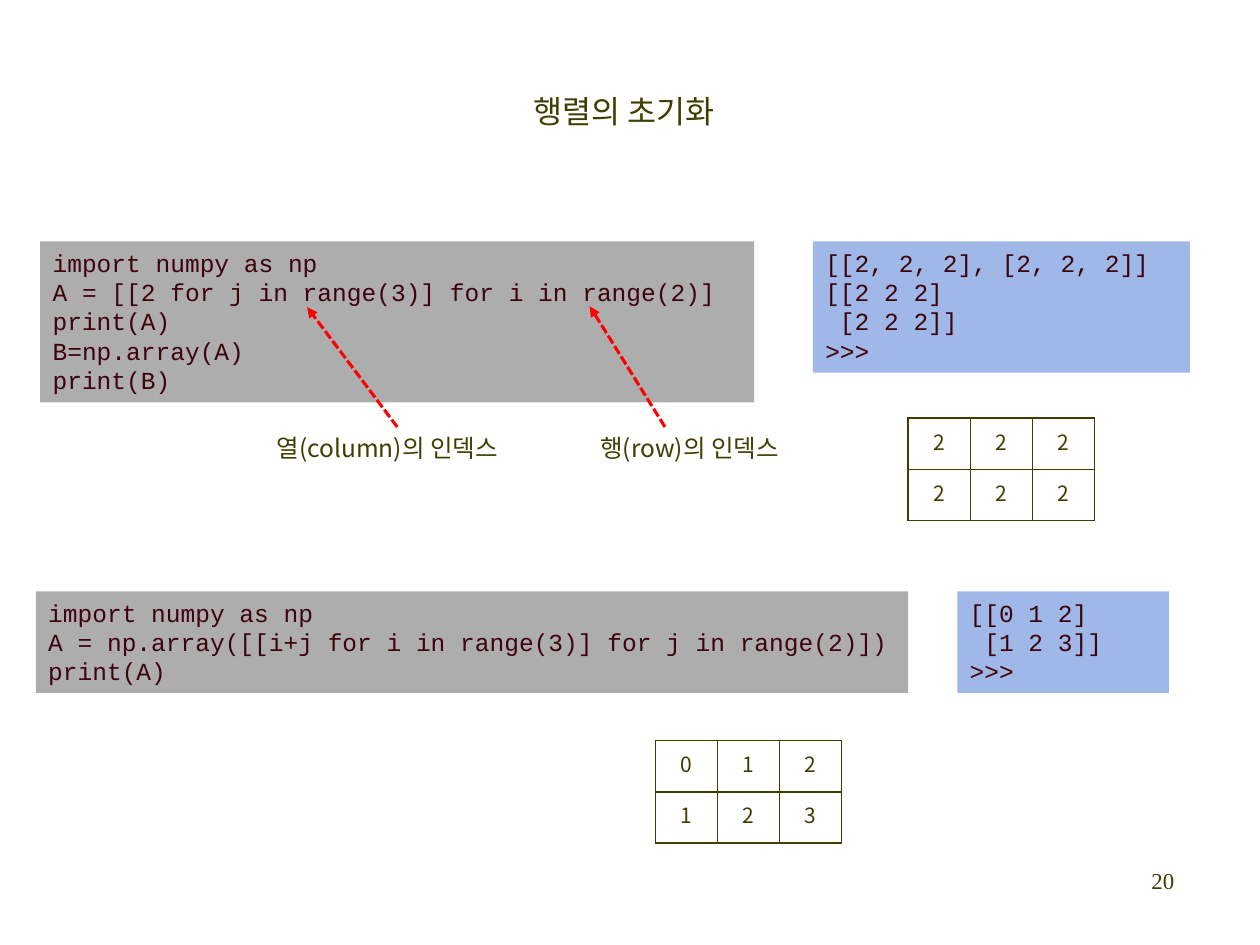
"""Build the slide on initialising matrices with list comprehensions."""
from lxml import etree
from pptx import Presentation
from pptx import util as u
from pptx.dml.color import RGBColor
from pptx.enum import dml, shapes, text
from pptx.oxml import ns

COLORS = {"ink": "3F3E00", "code": "3E020C", "gray": "ADADAD", "blue": "9FB8E7", "red": "FF0000"}
SANS, MONO, SERIF = "Noto Sans CJK KR", "Courier New", "Times New Roman"


def color(name):
    return RGBColor.from_string(COLORS[name])


def write(tf, lines, size, font, ink="ink", align=text.PP_ALIGN.LEFT):
    for i, line in enumerate(lines):
        p = tf.add_paragraph() if i else tf.paragraphs[0]
        p.alignment = align
        p.line_spacing = u.Pt(size * 1.2)
        r = p.add_run()
        r.text = line
        r.font.size = u.Pt(size)
        r.font.name = font
        r.font.color.rgb = color(ink)
        etree.SubElement(r.font._element, ns.qn("a:ea"), typeface=font)


prs = Presentation()
prs.slide_width, prs.slide_height = u.Pt(720), u.Pt(540)
s = prs.slides.add_slide(prs.slide_layouts[5])

title = s.shapes.title
title.left, title.top, title.width, title.height = u.Pt(297.5), u.Pt(49), u.Pt(130), u.Pt(29)
title.text_frame.word_wrap = False
title.text_frame.vertical_anchor = text.MSO_ANCHOR.TOP
write(title.text_frame, ["행렬의 초기화"], 18, SANS)

panels = [
    (23, 138, 408, 92, "gray", ["import numpy as np", "A = [[2 for j in range(3)] for i in range(2)]",
                                "print(A)", "B=np.array(A)", "print(B)"]),
    (464.5, 138, 215.5, 75, "blue", ["[[2, 2, 2], [2, 2, 2]]", "[[2 2 2]", " [2 2 2]]", ">>>"]),
    (20.5, 338, 498.5, 58, "gray", ["import numpy as np",
                                    "A = np.array([[i+j for i in range(3)] for j in range(2)])", "print(A)"]),
    (547, 338, 121, 58, "blue", ["[[0 1 2]", " [1 2 3]]", ">>>"]),
]
for x, y, w, h, fill, lines in panels:
    sp = s.shapes.add_shape(shapes.MSO_SHAPE.RECTANGLE, u.Pt(x), u.Pt(y), u.Pt(w), u.Pt(h))
    sp.shadow.inherit = False
    sp.fill.solid()
    sp.fill.fore_color.rgb = color(fill)
    sp.line.fill.background()
    sp.text_frame.word_wrap = True
    sp.text_frame.vertical_anchor = text.MSO_ANCHOR.TOP
    write(sp.text_frame, lines, 14, MONO, "code")

for x1, y1, x2, y2 in [(227, 244, 175.5, 175.5), (380, 244, 337, 175)]:
    arrow = s.shapes.add_connector(shapes.MSO_CONNECTOR.STRAIGHT, u.Pt(x1), u.Pt(y1), u.Pt(x2), u.Pt(y2))
    arrow.line.color.rgb = color("red")
    arrow.line.width = u.Pt(1.75)
    arrow.line.dash_style = dml.MSO_LINE.SQUARE_DOT
    etree.SubElement(arrow.line._get_or_add_ln(), ns.qn("a:tailEnd"), type="triangle")
    etree.SubElement(arrow._element.spPr, ns.qn("a:effectLst"))

labels = [
    (336, 244, 122.5, 24.5, "행(row)의 인덱스", 14, SANS, text.PP_ALIGN.LEFT),
    (151, 244, 146, 24.5, "열(column)의 인덱스", 14, SANS, text.PP_ALIGN.LEFT),
    (638, 492, 40, 36, "20", 13, SERIF, text.PP_ALIGN.RIGHT),
]
for x, y, w, h, line, size, font, align in labels:
    box = s.shapes.add_textbox(u.Pt(x), u.Pt(y), u.Pt(w), u.Pt(h))
    box.text_frame.word_wrap = True
    write(box.text_frame, [line], size, font, align=align)

col_w, row_h = 35.5, 29.25
matrices = [(519, 239, [[2, 2, 2], [2, 2, 2]]), (374.5, 423.25, [[0, 1, 2], [1, 2, 3]])]
for x, y, rows in matrices:
    frame = s.shapes.add_table(2, 3, u.Pt(x), u.Pt(y), u.Pt(3 * col_w), u.Pt(2 * row_h))
    table = frame.table
    table.first_row = table.horz_banding = False
    for i, row in enumerate(rows):
        for j, value in enumerate(row):
            cell = table.cell(i, j)
            cell.vertical_anchor = text.MSO_ANCHOR.MIDDLE
            write(cell.text_frame, [str(value)], 12, SANS, align=text.PP_ALIGN.CENTER)
            tc_pr = cell._tc.get_or_add_tcPr()
            for side in "LRTB":
                ln = etree.SubElement(tc_pr, ns.qn(f"a:ln{side}"), w=str(u.Pt(1)))
                solid = etree.SubElement(ln, ns.qn("a:solidFill"))
                etree.SubElement(solid, ns.qn("a:srgbClr"), val=COLORS["ink"])
            cell.fill.background()

prs.save("out.pptx")
